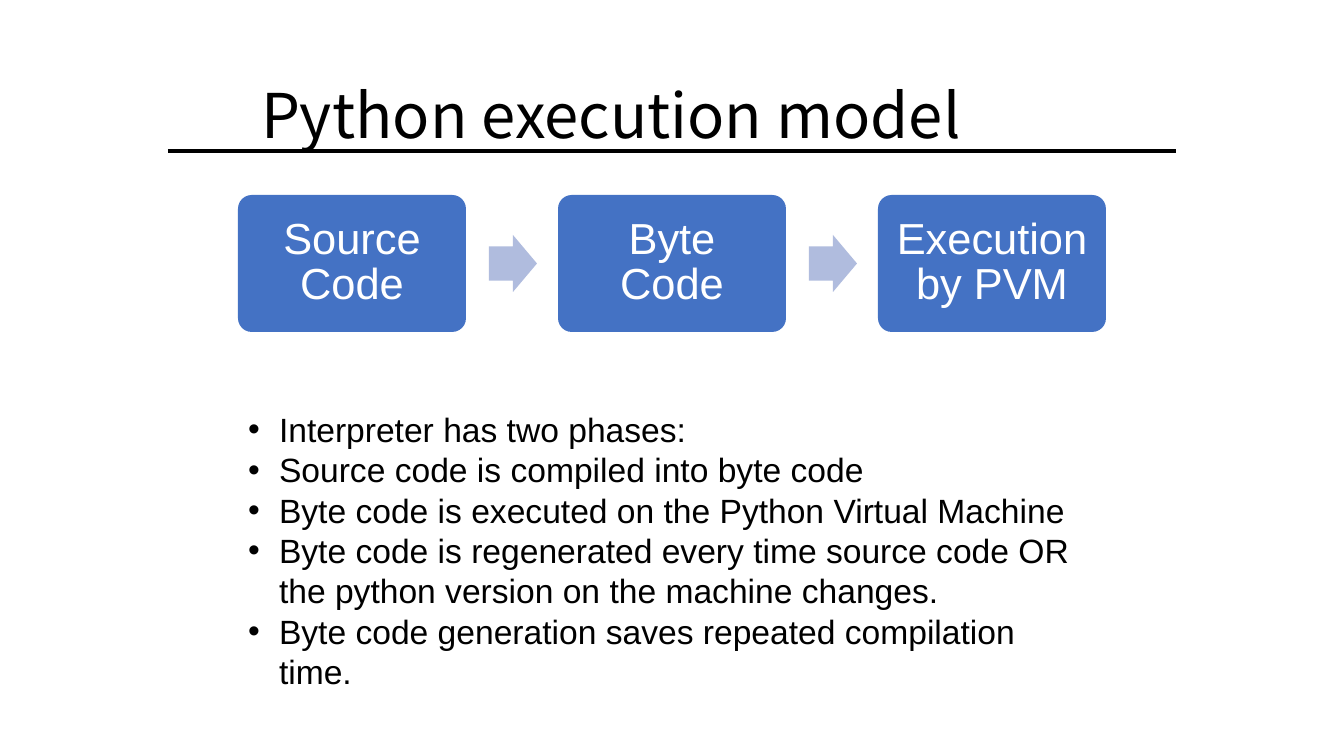
from lxml import etree
from pptx import Presentation
from pptx.dml.color import RGBColor
from pptx.enum.shapes import MSO_CONNECTOR, MSO_SHAPE
from pptx.enum.text import MSO_ANCHOR as ANCHOR, PP_ALIGN as ALIGN
from pptx.oxml.ns import qn
from pptx.util import Pt

TITLE = "Python execution model"
STEPS = ["Source Code", "Byte Code", "Execution by PVM"]
BULLETS = [
    "Interpreter has two phases:",
    "Source code is compiled into byte code",
    "Byte code is executed on the Python Virtual Machine",
    "Byte code is regenerated every time source code OR the python version on the machine changes.",
    "Byte code generation saves repeated compilation time.",
]

BLACK = RGBColor(0x00, 0x00, 0x00)
WHITE = RGBColor(0xFF, 0xFF, 0xFF)
BLUE = RGBColor(0x44, 0x72, 0xC4)
PALE_BLUE = RGBColor(0xB0, 0xBC, 0xDE)

SLIDE_W, SLIDE_H = 1344, 756
STEP_X, STEP_Y, STEP_W, STEP_H, STEP_PITCH = 238, 195, 228, 137, 320
STEP_INSET = 12
ARROW_W, ARROW_H, ARROW_OFFSET = 48, 57, 251


def px(n):
    return round(n * 914400 / 100.8)


def add_block(slide, kind, x, y, w, h, color):
    sp = slide.shapes.add_shape(kind, px(x), px(y), px(w), px(h))
    sp.shadow.inherit = False
    sp.fill.solid()
    sp.fill.fore_color.rgb = color
    sp.line.fill.background()
    return sp


def add_text(slide, x, y, w, h):
    return slide.shapes.add_textbox(px(x), px(y), px(w), px(h)).text_frame


def set_frame(tf, anchor, side=0):
    tf.word_wrap = True
    tf.vertical_anchor = anchor
    tf.margin_left = tf.margin_right = px(side)
    tf.margin_top = tf.margin_bottom = 0


def style(p, font, size, color, align=ALIGN.LEFT, spacing=None):
    p.alignment = align
    if spacing:
        p.line_spacing = Pt(spacing)
    for r in p.runs:
        r.font.name = font
        r.font.size = Pt(size)
        r.font.color.rgb = color
        ea = etree.SubElement(r._r.get_or_add_rPr(), qn("a:ea"))
        ea.set("typeface", font)


def add_bullet(p):
    pPr = p._p.get_or_add_pPr()
    pPr.set("marL", str(px(33)))
    pPr.set("indent", str(px(-31)))
    etree.SubElement(pPr, qn("a:buFont")).set("typeface", "Arial")
    etree.SubElement(pPr, qn("a:buChar")).set("char", "•")


def main():
    prs = Presentation()
    prs.slide_width, prs.slide_height = px(SLIDE_W), px(SLIDE_H)
    slide = prs.slides.add_slide(prs.slide_layouts[6])

    tf = add_text(slide, 261, 76, 900, 76)
    set_frame(tf, ANCHOR.MIDDLE)
    tf.text = TITLE
    style(tf.paragraphs[0], "Noto Sans CJK SC", 44, BLACK)

    for i, step in enumerate(STEPS):
        x = STEP_X + i * STEP_PITCH
        sp = add_block(slide, MSO_SHAPE.ROUNDED_RECTANGLE, x, STEP_Y, STEP_W, STEP_H, BLUE)
        sp.adjustments[0] = 0.1
        tf = sp.text_frame
        set_frame(tf, ANCHOR.MIDDLE, STEP_INSET)
        tf.text = step
        style(tf.paragraphs[0], "Arial", 31, WHITE, ALIGN.CENTER, 32)
        if i < len(STEPS) - 1:
            arrow_y = STEP_Y + (STEP_H - ARROW_H) / 2
            sp = add_block(slide, MSO_SHAPE.RIGHT_ARROW, x + ARROW_OFFSET, arrow_y,
                           ARROW_W, ARROW_H, PALE_BLUE)
            sp.adjustments[0] = 0.6

    tf = add_text(slide, 246, 409, 835, 285)
    set_frame(tf, ANCHOR.TOP)
    tf.text = "\n".join(BULLETS)
    for p in tf.paragraphs:
        style(p, "Arial", 24, BLACK, spacing=28.8)
        add_bullet(p)

    rule = slide.shapes.add_connector(MSO_CONNECTOR.STRAIGHT, px(168), px(151), px(1176), px(151))
    rule.line.color.rgb = BLACK
    rule.line.width = Pt(2.25)
    etree.SubElement(rule._element.spPr, qn("a:effectLst"))

    prs.save("out.pptx")


if __name__ == "__main__":
    main()
